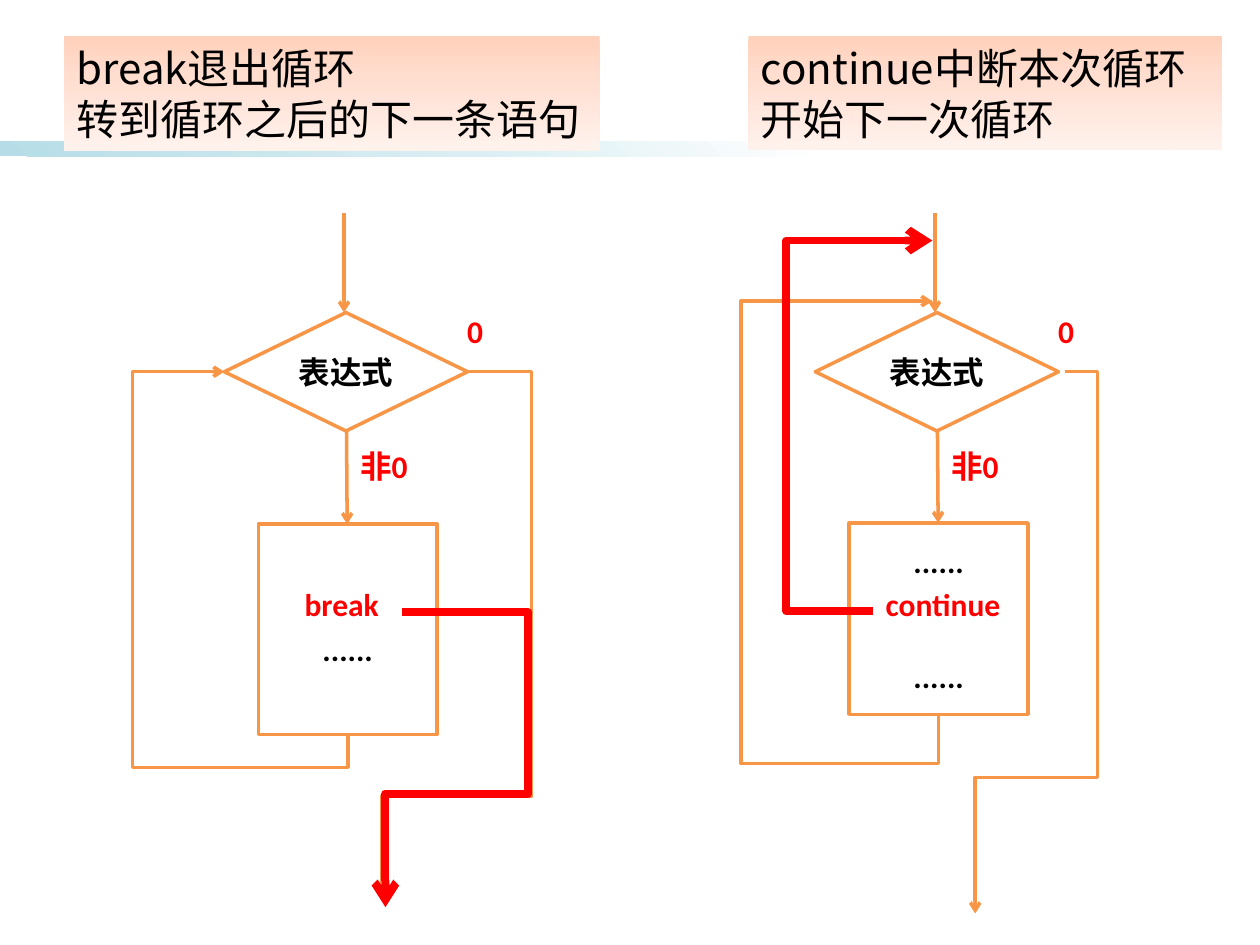
import pptx
import pptx.util
import pptx.dml.color
import pptx.enum.shapes
import pptx.enum.text
import pptx.oxml
import pptx.oxml.ns

Pt = pptx.util.Pt
SHAPE = pptx.enum.shapes.MSO_SHAPE
CONNECTOR = pptx.enum.shapes.MSO_CONNECTOR
ANCHOR = pptx.enum.text.MSO_ANCHOR
ALIGN = pptx.enum.text.PP_ALIGN
qn = pptx.oxml.ns.qn

ORANGE, RED, WHITE, BLACK = "F79646", "FF0000", "FFFFFF", "000000"
CJK, LATIN = "Noto Sans CJK SC", "Calibri"

BAND = (0, 80.6, 671.8, 8.6)
BAND_STOPS = [(0, "B6DDE7"), (40, "DAEEF3"), (70, WHITE), (100, WHITE)]
HEADING_STOPS = [(0, "FFD1BB"), (35, "FFDDCF"), (100, "FFF2ED")]
HEADINGS = [
    ((36.7, 20.7, 306, 65.5), ["break退出循环", "转到循环之后的下一条语句"]),
    ((427.7, 20.5, 270.7, 65.5), ["continue中断本次循环", "开始下一次循环"]),
]

# Elbows: start, x of the long side, y of the second bend (None if absent), end
CHARTS = [
    dict(dx=0, box=(299.5, 120.2), steps=["......"], gap=0, top_inset=25.6,
         loop=((128.2, 212.4), 75.6, 438.5, (198.7, 419.8)),
         exit=((267.1, 212.4), 303.8, 455, (218.2, 511.9)),
         jump=((229.7, 349.9), 301.7, 453.6, (220.3, 518.4)),
         keyword="break", keyword_at=(167, 330.5, 56.9, 38.9)),
    dict(dx=337.7, box=(298.8, 109.4), steps=["......", "......"], gap=44, top_inset=3.6,
         loop=((532.8, 172.1), 423.4, 436.3, (536.4, 378.7)),
         exit=((608.4, 212.4), 627.1, 444.2, (557.3, 522)),
         jump=((499, 349.2), 449.3, None, (532.8, 137.5)),
         keyword="continue", keyword_at=(499, 330.5, 79.9, 38.9)),
]


def rgb(value):
    return pptx.dml.color.RGBColor.from_string(value)


def add_box(s, kind, at, fill=WHITE, line=None):
    sp = s.shapes.add_shape(kind, *map(Pt, at))
    sp.shadow.inherit = False
    if fill:
        sp.fill.solid()
        sp.fill.fore_color.rgb = rgb(fill)
    if line:
        sp.line.color.rgb = rgb(line)
        sp.line.width = Pt(2)
    else:
        sp.line.fill.background()
    return sp


def set_gradient(sp, stops, angle):
    sp.fill.gradient()
    grad = sp._element.spPr.find(qn("a:gradFill"))
    for child in list(grad):
        grad.remove(child)
    gs_list = grad.makeelement(qn("a:gsLst"), {})
    grad.append(gs_list)
    for pos, color in stops:
        gs = gs_list.makeelement(qn("a:gs"), {"pos": str(pos * 1000)})
        gs.append(gs.makeelement(qn("a:srgbClr"), {"val": color}))
        gs_list.append(gs)
    grad.append(grad.makeelement(qn("a:lin"), {"ang": str(angle * 60000), "scaled": "0"}))


def write(sp, lines, size=18, color=BLACK, bold=True, latin=LATIN, align=ALIGN.LEFT,
          anchor=ANCHOR.TOP, wrap=True, gap=0, spacing=None, top_inset=3.6):
    tf = sp.text_frame
    tf.word_wrap = wrap
    tf.vertical_anchor = anchor
    tf.margin_top = Pt(top_inset)
    for i, text in enumerate(lines):
        p = tf.paragraphs[0] if i == 0 else tf.add_paragraph()
        p.alignment = align
        if i and gap:
            p.space_before = Pt(gap)
        if spacing:
            p.line_spacing = Pt(spacing)
        r = p.add_run()
        r.text = text
        r.font.size, r.font.bold, r.font.name = Pt(size), bold, latin
        r.font.color.rgb = rgb(color)
        rpr = r._r.get_or_add_rPr()
        rpr.find(qn("a:latin")).addnext(rpr.makeelement(qn("a:ea"), {"typeface": CJK}))


def add_arrow(s, kind, start, end, color=ORANGE, width=2, arrow="tailEnd"):
    c = s.shapes.add_connector(kind, *map(Pt, (*start, *end)))
    c.line.color.rgb = rgb(color)
    c.line.width = Pt(width)
    ln = c.line._get_or_add_ln()
    ln.append(ln.makeelement(qn("a:" + arrow), {"type": "arrow"}))
    sppr = c._element.spPr
    sppr.append(sppr.makeelement(qn("a:effectLst"), {}))
    return c


def add_elbow(s, route, **style):
    """Draw a bent connector whose bends lie at the given x and y."""
    start, x, y, end = route
    c = add_arrow(s, CONNECTOR.ELBOW, start, end, **style)
    ratios = [(x - start[0]) / (end[0] - start[0])]
    if y is not None:
        ratios.append((y - start[1]) / (end[1] - start[1]))
    geom = c._element.spPr.find(qn("a:prstGeom"))
    geom.set("prst", f"bentConnector{len(ratios) + 2}")
    guides = geom.find(qn("a:avLst"))
    if guides is None:
        guides = geom.makeelement(qn("a:avLst"), {})
        geom.append(guides)
    for i, ratio in enumerate(ratios, 1):
        guides.append(guides.makeelement(
            qn("a:gd"), {"name": f"adj{i}", "fmla": f"val {round(ratio * 100000)}"}))


def add_label(s, text, at):
    write(s.shapes.add_textbox(*map(Pt, at)), [text], color=RED)


def add_flowchart(s, chart):
    dx = chart["dx"]
    top, height = chart["box"]
    centered = dict(align=ALIGN.CENTER, anchor=ANCHOR.MIDDLE)
    add_elbow(s, chart["loop"], arrow="headEnd")
    sp = add_box(s, SHAPE.FLOWCHART_DECISION, (128.2 + dx, 178.6, 139, 67.7), line=ORANGE)
    write(sp, ["表达式"], wrap=False, **centered)
    sp = add_box(s, SHAPE.FLOWCHART_PROCESS, (147.6 + dx, top, 102.2, height), line=ORANGE)
    write(sp, chart["steps"], gap=chart["gap"], top_inset=chart["top_inset"], **centered)
    add_arrow(s, CONNECTOR.STRAIGHT, (196.6 + dx, 121.7), (196.6 + dx, 178.6))
    add_arrow(s, CONNECTOR.STRAIGHT, (198 + dx, 246.2), (198.4 + dx, top))
    add_elbow(s, chart["exit"])
    add_label(s, "非0", (198.7 + dx, 252, 41.8, 38.2))
    add_label(s, "0", (259.9 + dx, 175, 23.8, 38.2))
    sp = add_box(s, SHAPE.RECTANGLE, chart["keyword_at"])
    write(sp, [chart["keyword"]], color=RED, wrap=False)
    add_elbow(s, chart["jump"], color=RED, width=4.5)


def main():
    prs = pptx.Presentation()
    prs.slide_width, prs.slide_height = Pt(720), Pt(540)
    s = prs.slides.add_slide(prs.slide_layouts[6])
    set_gradient(add_box(s, SHAPE.RECTANGLE, BAND, fill=None), BAND_STOPS, 315)
    for chart in CHARTS:
        add_flowchart(s, chart)
    for at, lines in HEADINGS:
        sp = add_box(s, SHAPE.RECTANGLE, at, fill=None)
        set_gradient(sp, HEADING_STOPS, 90)
        write(sp, lines, size=24, bold=False, latin=CJK, spacing=29)
    prs.save("out.pptx")


if __name__ == "__main__":
    main()
